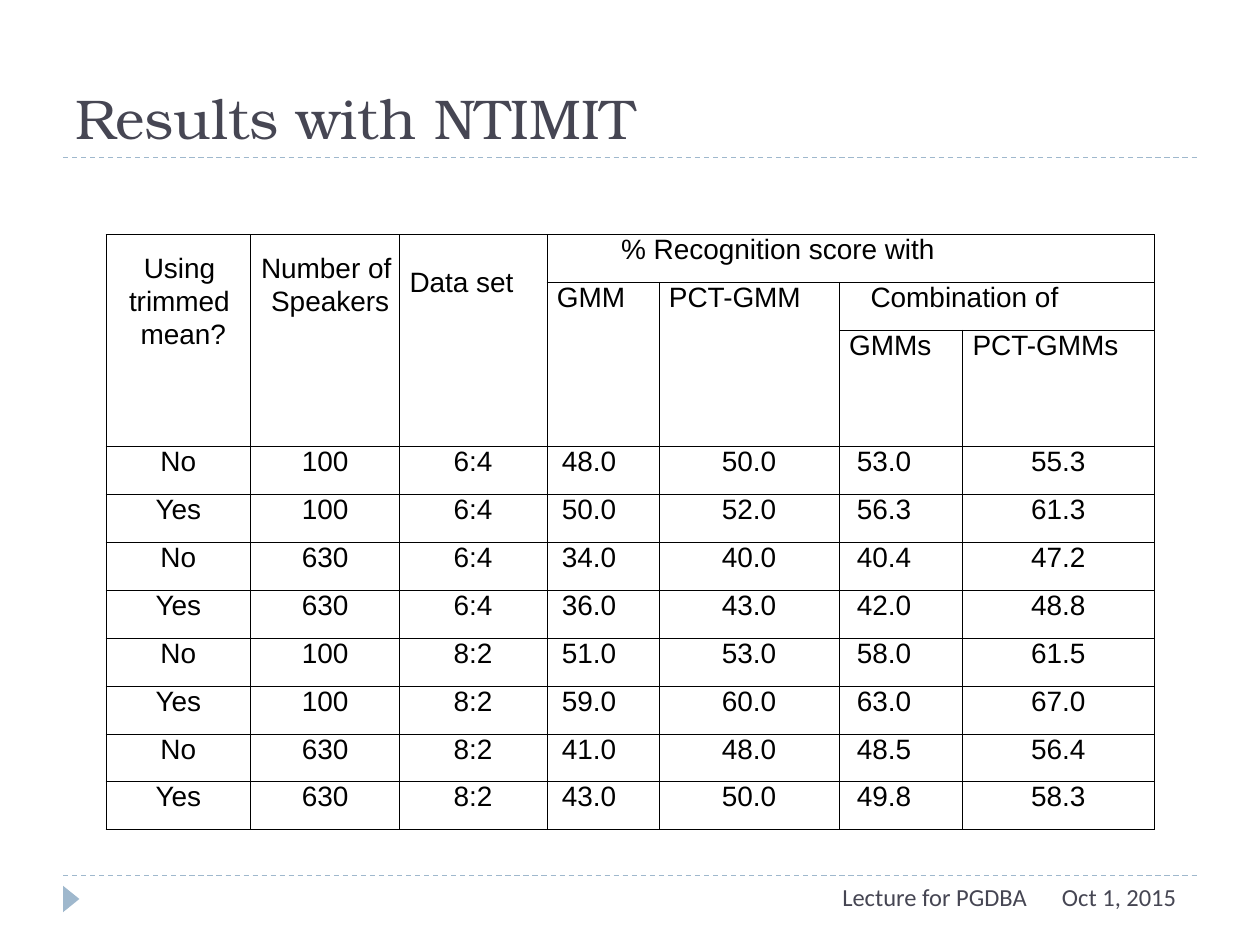
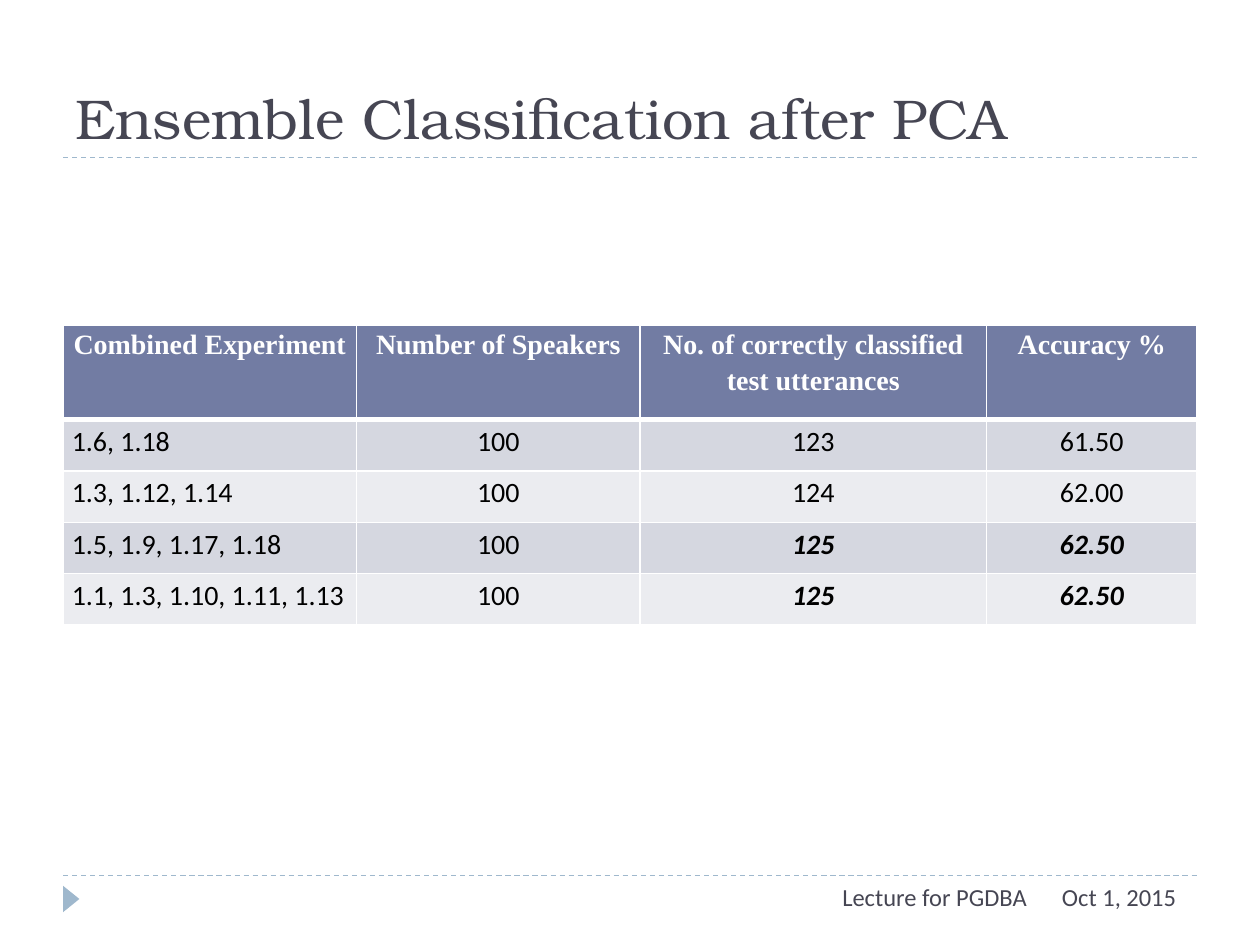
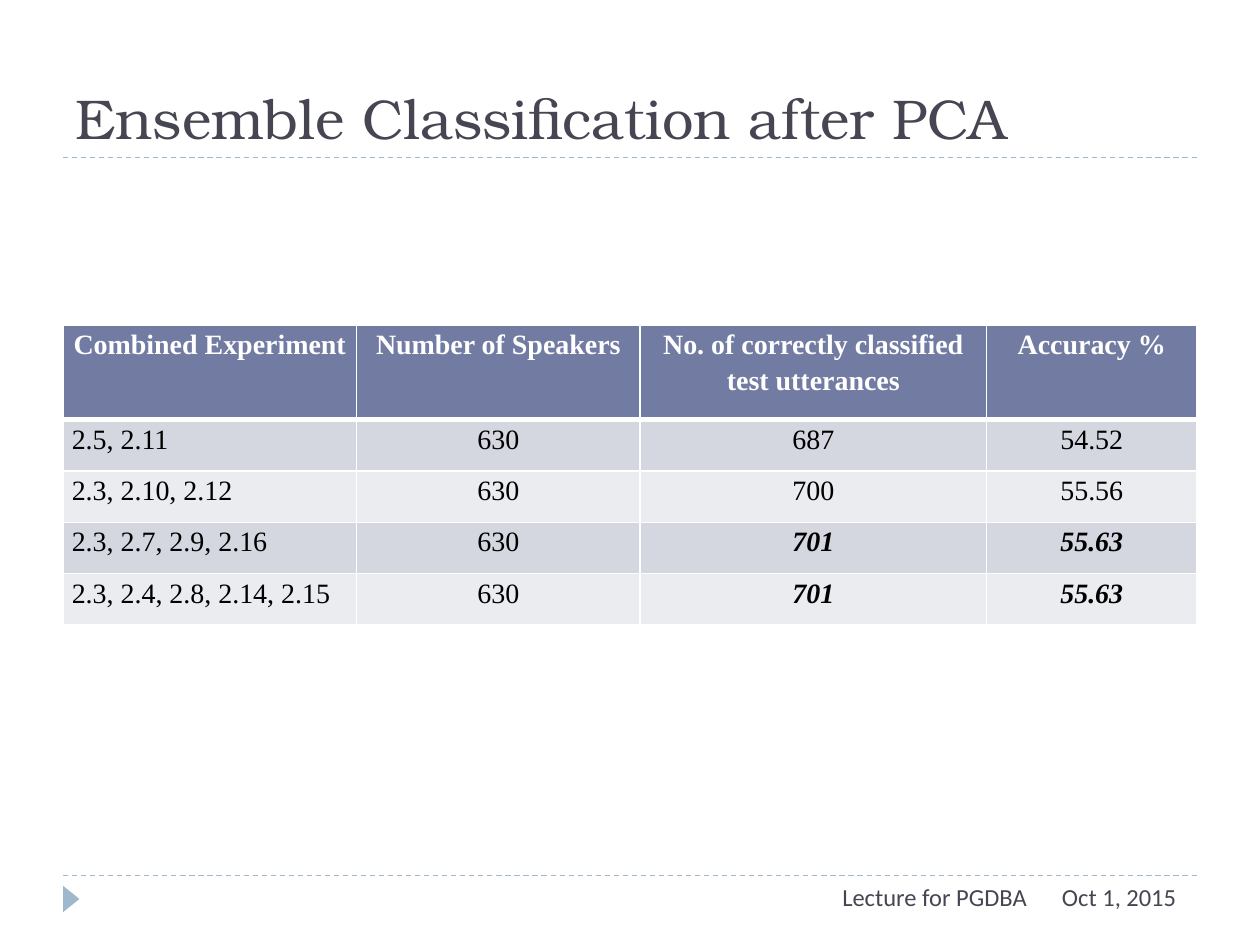
from dataclasses import dataclass

from lxml.etree import SubElement
from pptx import Presentation
from pptx.dml.color import RGBColor
from pptx.enum.dml import MSO_LINE
from pptx.enum.shapes import MSO_CONNECTOR, MSO_SHAPE
from pptx.enum.text import MSO_ANCHOR, MSO_AUTO_SIZE, PP_ALIGN
from pptx.oxml.ns import qn
from pptx.slide import Slide
from pptx.table import Table, _Cell
from pptx.text.text import _Paragraph
from pptx.util import Inches, Pt

WIDTH, HEIGHT = Inches(10), Inches(7.5)
COLUMNS, ROWS = 20, 30
INK, ACCENT, BLACK, WHITE = "464653", "9FB8CD", "000000", "FFFFFF"
HEADER_FILL, BANDS = "727CA3", ("D5D7E0", "EBECF0")
TITLE_FONT, FOOTER_FONT = "TeX Gyre Bonum", "Calibri"
SCORE_FONT, SERIF_FONT = "Arial", "Times New Roman"
LEFT, CENTER, RIGHT = PP_ALIGN.LEFT, PP_ALIGN.CENTER, PP_ALIGN.RIGHT


@dataclass(frozen=True)
class Area:
    column: float
    row: float
    columns: float
    rows: float

    def box(self) -> tuple[int, int, int, int]:
        return x(self.column), y(self.row), x(self.columns), y(self.rows)


@dataclass(frozen=True)
class TextStyle:
    font: str
    size: float
    colour: str
    bold: bool = False
    italic: bool = False


@dataclass(frozen=True)
class Footer:
    text: str
    area: Area
    align: PP_ALIGN


@dataclass(frozen=True)
class Heading:
    row: int
    column: int
    lines: tuple[str, ...]
    row_span: int = 1
    column_span: int = 1
    indent: float = 0.08
    top: float = 0
    align: PP_ALIGN = LEFT
    spacing: float | None = None


@dataclass(frozen=True)
class Ensemble:
    experiments: str
    correct: str
    accuracy: str
    best: bool = False


TITLE_AREA = Area(1, 0.68, 18, 4.32)
RULE_ROWS = (5, 27.8)
MARKER_AREA = Area(0.92, 28.28, 0.42, 0.52)
FOOTERS = (
    Footer("Oct 1, 2015", Area(16.66, 27.8, 2.84, 1.6), LEFT),
    Footer("Lecture for PGDBA", Area(2.5, 27.8, 14, 1.6), RIGHT),
)

SCORE_COLUMNS = (2.3, 2.36, 2.34, 1.78, 2.86, 1.96, 3.04)
SCORE_ROWS = (1.52, 1.52, 3.7) + (1.52,) * 8
SCORE_INDENTS = {3: 0.12, 5: 0.14}
SCORE_HEADINGS = (
    Heading(0, 0, ("Using ", "trimmed ", "mean?"), 3, top=0.13, align=CENTER, spacing=19),
    Heading(0, 1, ("Number of ", "Speakers"), 3, top=0.13, align=CENTER, spacing=19),
    Heading(0, 2, ("Data set",), 3, top=0.26),
    Heading(0, 3, ("% Recognition score with",), 1, 4, indent=0.59),
    Heading(1, 3, ("GMM",), 2),
    Heading(1, 4, ("PCT-GMM",), 2),
    Heading(1, 5, ("Combination of",), 1, 2, indent=0.25),
    Heading(2, 5, ("GMMs",)),
    Heading(2, 6, ("PCT-GMMs",)),
)
SCORES = (
    ("No", "100", "6:4", "48.0", "50.0", "53.0", "55.3"),
    ("Yes", "100", "6:4", "50.0", "52.0", "56.3", "61.3"),
    ("No", "630", "6:4", "34.0", "40.0", "40.4", "47.2"),
    ("Yes", "630", "6:4", "36.0", "43.0", "42.0", "48.8"),
    ("No", "100", "8:2", "51.0", "53.0", "58.0", "61.5"),
    ("Yes", "100", "8:2", "59.0", "60.0", "63.0", "67.0"),
    ("No", "630", "8:2", "41.0", "48.0", "48.5", "56.4"),
    ("Yes", "630", "8:2", "43.0", "50.0", "49.8", "58.3"),
)

ENSEMBLE_COLUMNS = (4.66, 4.5, 5.5, 3.34)
ENSEMBLE_ROWS = (3,) + (1.63,) * 4
ENSEMBLE_HEADINGS = (
    "Combined Experiment",
    "Number of Speakers",
    "No. of correctly classified test utterances",
    "Accuracy %",
)
SMALL_SET = (
    Ensemble("1.6, 1.18", "123", "61.50"),
    Ensemble("1.3, 1.12, 1.14", "124", "62.00"),
    Ensemble("1.5, 1.9, 1.17, 1.18", "125", "62.50", True),
    Ensemble("1.1, 1.3, 1.10, 1.11, 1.13", "125", "62.50", True),
)
FULL_SET = (
    Ensemble("2.5, 2.11", "687", "54.52"),
    Ensemble("2.3, 2.10, 2.12", "700", "55.56"),
    Ensemble("2.3, 2.7, 2.9, 2.16", "701", "55.63", True),
    Ensemble("2.3, 2.4, 2.8, 2.14, 2.15", "701", "55.63", True),
)


def x(columns: float) -> int:
    return round(WIDTH * columns / COLUMNS)


def y(rows: float) -> int:
    return round(HEIGHT * rows / ROWS)


def colour(value: str) -> RGBColor:
    return RGBColor.from_string(value)


def write(paragraph: _Paragraph, text: str, style: TextStyle, align: PP_ALIGN = LEFT) -> None:
    paragraph.alignment = align
    run = paragraph.add_run()
    run.text = text
    run.font.name = style.font
    run.font.size = Pt(style.size)
    run.font.bold = style.bold
    run.font.italic = style.italic
    run.font.color.rgb = colour(style.colour)


def add_rule(slide: Slide, row: float) -> None:
    rule = slide.shapes.add_connector(MSO_CONNECTOR.STRAIGHT, x(1), y(row), x(19), y(row))
    rule.line.color.rgb = colour(ACCENT)
    rule.line.width = Pt(0.75)
    rule.line.dash_style = MSO_LINE.DASH
    SubElement(rule._element.spPr, qn("a:effectLst"))


def add_marker(slide: Slide) -> None:
    marker = slide.shapes.add_shape(MSO_SHAPE.ISOSCELES_TRIANGLE, *MARKER_AREA.box())
    marker.rotation = 90
    marker.shadow.inherit = False
    marker.fill.solid()
    marker.fill.fore_color.rgb = colour(ACCENT)
    marker.line.fill.background()


def add_footer(slide: Slide, footer: Footer) -> None:
    frame = slide.shapes.add_textbox(*footer.area.box()).text_frame
    frame.word_wrap = True
    write(frame.paragraphs[0], footer.text, TextStyle(FOOTER_FONT, 14, INK), footer.align)


def add_slide(deck: Presentation, heading: str) -> Slide:
    slide = deck.slides.add_slide(deck.slide_layouts[5])
    for row in RULE_ROWS:
        add_rule(slide, row)
    add_marker(slide)
    title = slide.shapes.title
    title.left, title.top, title.width, title.height = TITLE_AREA.box()
    title.text_frame.vertical_anchor = MSO_ANCHOR.BOTTOM
    title.text_frame.auto_size = MSO_AUTO_SIZE.NONE
    write(title.text_frame.paragraphs[0], heading, TextStyle(TITLE_FONT, 32, INK))
    for footer in FOOTERS:
        add_footer(slide, footer)
    return slide


def add_grid(slide: Slide, column: float, row: float,
             widths: tuple[float, ...], heights: tuple[float, ...]) -> Table:
    area = Area(column, row, sum(widths), sum(heights))
    grid = slide.shapes.add_table(len(heights), len(widths), *area.box()).table
    grid.first_row = grid.horz_banding = False
    for grid_column, width in zip(grid.columns, widths):
        grid_column.width = x(width)
    for grid_row, height in zip(grid.rows, heights):
        grid_row.height = y(height)
    return grid


def format_cell(cell: _Cell, border: str, width: float, side: float,
                fill: str | None = None, bottom: float | None = None) -> None:
    properties = cell._tc.get_or_add_tcPr()
    for edge in ("lnL", "lnR", "lnT", "lnB"):
        points = bottom if edge == "lnB" and bottom else width
        line = SubElement(properties, qn(f"a:{edge}"), w=str(Pt(points)))
        SubElement(SubElement(line, qn("a:solidFill")), qn("a:srgbClr"), val=border)
    cell.margin_left = cell.margin_right = Inches(side)
    cell.margin_top = cell.margin_bottom = 0
    if fill:
        cell.fill.solid()
        cell.fill.fore_color.rgb = colour(fill)
    else:
        cell.fill.background()


def indent_by(paragraph: _Paragraph, inches: float) -> None:
    properties = paragraph._p.get_or_add_pPr()
    properties.set("marL", str(Inches(inches)))
    properties.set("indent", "0")


def add_score_heading(grid: Table, heading: Heading, style: TextStyle) -> None:
    cell = grid.cell(heading.row, heading.column)
    if heading.row_span * heading.column_span > 1:
        cell.merge(grid.cell(heading.row + heading.row_span - 1,
                             heading.column + heading.column_span - 1))
    cell.margin_top = Inches(heading.top)
    frame = cell.text_frame
    for index, line in enumerate(heading.lines):
        paragraph = frame.add_paragraph() if index else frame.paragraphs[0]
        write(paragraph, line, style, heading.align)
        indent_by(paragraph, heading.indent)
        if heading.spacing:
            paragraph.line_spacing = Pt(heading.spacing)


def add_scores(slide: Slide) -> None:
    style = TextStyle(SCORE_FONT, 16, BLACK)
    grid = add_grid(slide, 1.68, 7.44, SCORE_COLUMNS, SCORE_ROWS)
    for cell in grid.iter_cells():
        format_cell(cell, BLACK, 0.4, 0)
    for heading in SCORE_HEADINGS:
        add_score_heading(grid, heading, style)
    for row, values in enumerate(SCORES, start=3):
        for column, value in enumerate(values):
            paragraph = grid.cell(row, column).text_frame.paragraphs[0]
            indent = SCORE_INDENTS.get(column, 0)
            write(paragraph, value, style, LEFT if indent else CENTER)
            indent_by(paragraph, indent)


def write_ensemble_cell(cell: _Cell, text: str, style: TextStyle, align: PP_ALIGN) -> None:
    paragraph = cell.text_frame.paragraphs[0]
    write(paragraph, text, style, align)
    paragraph.line_spacing = 1.15
    paragraph.space_after = Pt(10)


def add_ensembles(slide: Slide, speakers: str, ensembles: tuple[Ensemble, ...], font: str) -> None:
    grid = add_grid(slide, 1, 10.32, ENSEMBLE_COLUMNS, ENSEMBLE_ROWS)
    header_style = TextStyle(SERIF_FONT, 16, WHITE, bold=True)
    for column, heading in enumerate(ENSEMBLE_HEADINGS):
        cell = grid.cell(0, column)
        format_cell(cell, WHITE, 1, 0.07, HEADER_FILL, bottom=3)
        write_ensemble_cell(cell, heading, header_style, CENTER)
    for row, ensemble in enumerate(ensembles, start=1):
        values = (ensemble.experiments, speakers, ensemble.correct, ensemble.accuracy)
        for column, value in enumerate(values):
            cell = grid.cell(row, column)
            best = ensemble.best and column >= 2
            format_cell(cell, WHITE, 1, 0.07, BANDS[(row - 1) % 2])
            write_ensemble_cell(cell, value, TextStyle(font, 16, BLACK, best, best),
                                CENTER if column else LEFT)


def main() -> None:
    deck = Presentation()
    deck.slide_width, deck.slide_height = WIDTH, HEIGHT
    add_scores(add_slide(deck, "Results with NTIMIT"))
    for speakers, ensembles, font in (("100", SMALL_SET, "Calibri"), ("630", FULL_SET, SERIF_FONT)):
        add_ensembles(add_slide(deck, "Ensemble Classification after PCA"), speakers, ensembles, font)
    deck.save("out.pptx")


if __name__ == "__main__":
    main()
